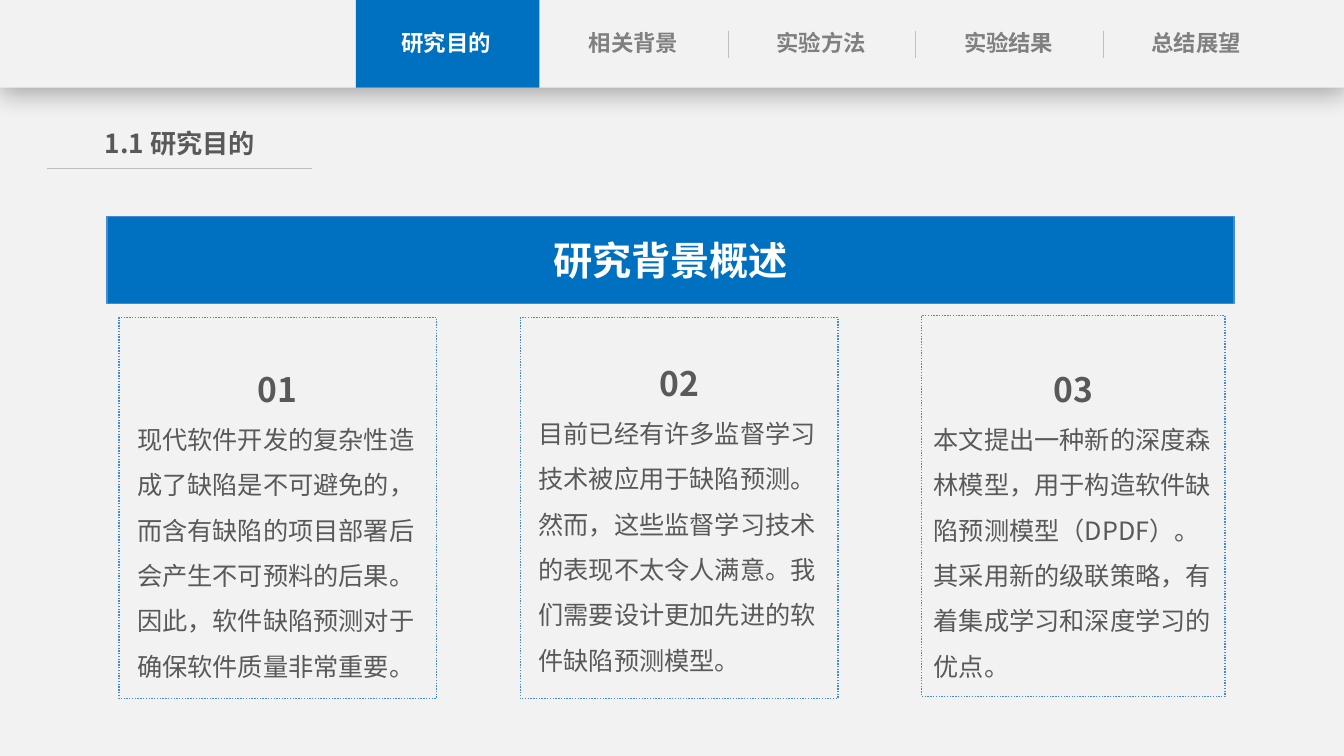
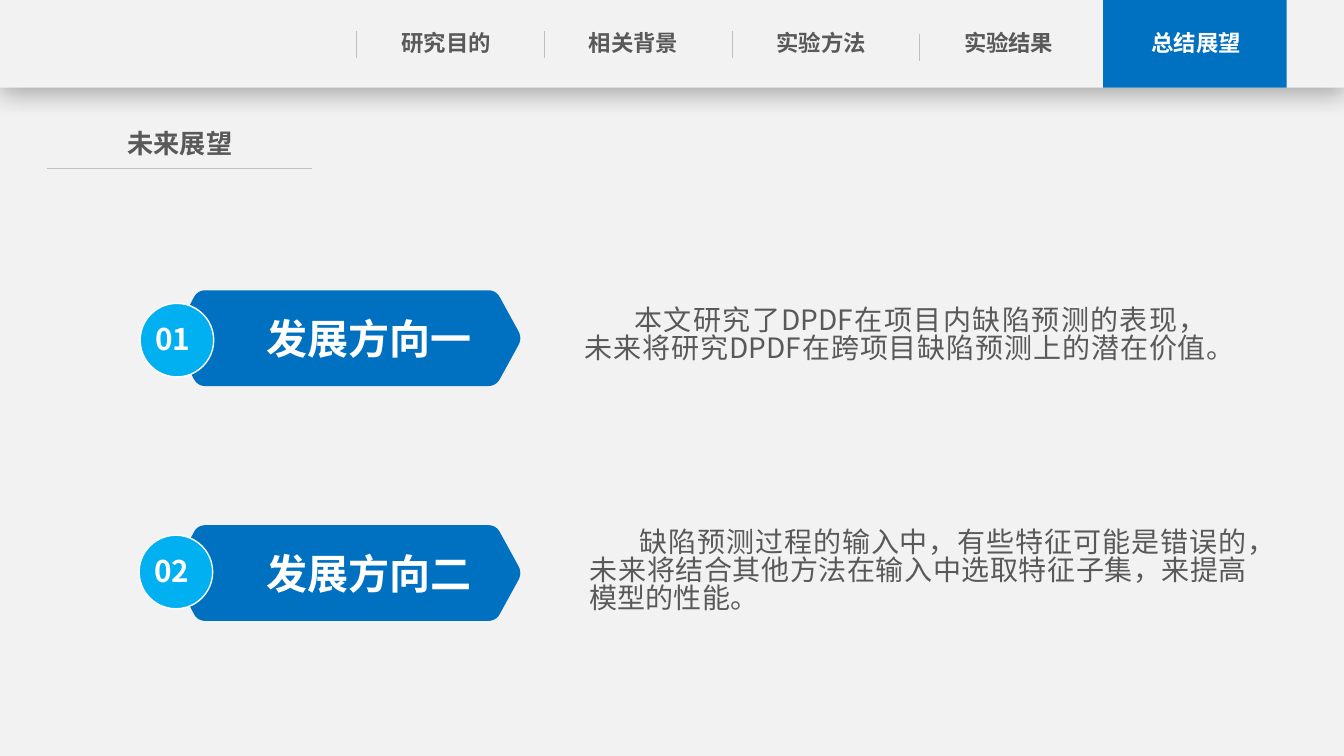
from dataclasses import dataclass

from lxml.etree import SubElement
from pptx import Presentation
from pptx.dml.color import RGBColor
from pptx.enum.dml import MSO_LINE
from pptx.enum.shapes import MSO_CONNECTOR, MSO_SHAPE
from pptx.enum.text import MSO_ANCHOR, PP_ALIGN
from pptx.oxml.ns import qn
from pptx.util import Inches, Pt


@dataclass(frozen=True)
class Theme:
    font: str = "Noto Sans CJK SC"
    background: str = "F2F2F2"
    primary: str = "0070C0"
    badge: str = "00B0F0"
    outline: str = "448AD7"
    rule: str = "BFBFBF"
    text: str = "595959"
    muted: str = "808080"
    white: str = "FFFFFF"
    tab_size: float = 16
    title_size: float = 18.7
    banner_size: float = 28
    number_size: float = 24
    body_size: float = 18
    direction_size: float = 29.3
    badge_size: float = 21.3
    outlook_size: float = 20


T = Theme()
SLIDE_W, SLIDE_H = 13.33, 7.5
NAV_H = 0.87
TABS = ("研究目的", "相关背景", "实验方法", "实验结果", "总结展望")


# --- Basic elements ---
def rgb(value):
    return RGBColor.from_string(value)


def style_paragraph(p, size, color, bold=False, align=PP_ALIGN.LEFT, spacing=None):
    p.alignment = align
    if spacing:
        p.line_spacing = spacing
    for r in p.runs:
        r.font.name, r.font.size, r.font.bold = T.font, Pt(size), bold
        r.font.color.rgb = rgb(color)
        SubElement(r.font._element, qn("a:ea"), typeface=T.font)


def set_insets(tf, left=0, top=0, right=0, bottom=0):
    tf.margin_left, tf.margin_top = Inches(left), Inches(top)
    tf.margin_right, tf.margin_bottom = Inches(right), Inches(bottom)


def style_shape(sp, fill=None, line=None):
    sp.shadow.inherit = False
    if fill:
        sp.fill.solid()
        sp.fill.fore_color.rgb = rgb(fill)
    else:
        sp.fill.background()
    if line:
        sp.line.color.rgb = rgb(line)
        sp.line.width = Pt(1)
    else:
        sp.line.fill.background()


def add_box(s, x, y, w, h, fill=None, line=None, kind=MSO_SHAPE.RECTANGLE):
    sp = s.shapes.add_shape(kind, Inches(x), Inches(y), Inches(w), Inches(h))
    style_shape(sp, fill, line)
    return sp


def add_label(s, x, y, w, h, text, size, color):
    tf = s.shapes.add_textbox(Inches(x), Inches(y), Inches(w), Inches(h)).text_frame
    tf.word_wrap = True
    set_insets(tf, top=0.05, bottom=0.05)
    tf.text = text
    style_paragraph(tf.paragraphs[0], size, color, True, PP_ALIGN.CENTER)


def fill_label(sp, text, size, left=0, right=0, bottom=0, wrap=True):
    tf = sp.text_frame
    tf.word_wrap = wrap
    tf.vertical_anchor = MSO_ANCHOR.MIDDLE
    set_insets(tf, left=left, right=right, bottom=bottom)
    tf.text = text
    style_paragraph(tf.paragraphs[0], size, T.white, True, PP_ALIGN.CENTER)


def add_rule(s, x1, y1, x2, y2):
    line = s.shapes.add_connector(
        MSO_CONNECTOR.STRAIGHT, Inches(x1), Inches(y1), Inches(x2), Inches(y2))
    line.line.color.rgb = rgb(T.rule)
    line.line.width = Pt(0.5)
    SubElement(line._element.spPr, qn("a:effectLst"))


def add_drop_shadow(sp):
    effects = sp._element.spPr.find(qn("a:effectLst"))
    shadow = SubElement(effects, qn("a:outerShdw"), blurRad=str(Pt(18)),
                        dist=str(Pt(4)), dir="5400000", algn="t", rotWithShape="0")
    color = SubElement(shadow, qn("a:srgbClr"), val="000000")
    SubElement(color, qn("a:alpha"), val="29000")


# --- Shared slide frame ---
def add_nav(s, active, active_x, tab_color, separators):
    add_drop_shadow(add_box(s, 0, 0, SLIDE_W, NAV_H, T.background))
    add_box(s, active_x, 0, 1.82, NAV_H, T.primary)
    for i, tab in enumerate(TABS):
        color = T.white if i == active else tab_color
        add_label(s, 3.69 + 1.86 * i, 0.24, 1.47, 0.38, tab, T.tab_size, color)
    for x, y in separators:
        add_rule(s, x, y, x, y + 0.27)


def add_section_title(s, text):
    add_label(s, 0.75, 1.21, 2.07, 0.42, text, T.title_size, T.text)
    add_rule(s, 0.47, 1.67, 3.09, 1.67)


# --- Content elements ---
def add_card(s, x, y, w, inset, top, number, text):
    sp = add_box(s, x, y, w, 3.78, line=T.outline)
    sp.line.dash_style = MSO_LINE.ROUND_DOT
    tf = sp.text_frame
    tf.word_wrap = True
    tf.vertical_anchor = MSO_ANCHOR.TOP
    set_insets(tf, left=inset, top=top, right=inset)
    tf.text = number
    style_paragraph(tf.paragraphs[0], T.number_size, T.text, True, PP_ALIGN.CENTER, 1.5)
    p = tf.add_paragraph()
    p.text = text
    style_paragraph(p, T.body_size, T.text, spacing=1.5)


def round_corners(corners, cut=0.08, steps=6):
    """Replace each corner of a polygon by a sampled quadratic curve."""
    points = []
    for i, (cx, cy) in enumerate(corners):
        ends = []
        for nx, ny in (corners[i - 1], corners[(i + 1) % len(corners)]):
            t = cut / ((nx - cx) ** 2 + (ny - cy) ** 2) ** 0.5
            ends.append((cx + (nx - cx) * t, cy + (ny - cy) * t))
        (ax, ay), (bx, by) = ends
        for k in range(steps + 1):
            t = k / steps
            a, c, b = (1 - t) ** 2, 2 * t * (1 - t), t ** 2
            points.append((a * ax + c * cx + b * bx, a * ay + c * cy + b * by))
    return points


def add_direction_tag(s, x, y, text):
    corners = [(0.23, 0), (3.19, 0), (3.45, 0.475),
               (3.19, 0.95), (0.23, 0.95), (-0.02, 0.475)]
    points = [(Inches(x + dx), Inches(y + dy)) for dx, dy in round_corners(corners)]
    builder = s.shapes.build_freeform(*points[0], scale=1.0)
    builder.add_line_segments(points[1:], close=True)
    sp = builder.convert_to_shape()
    style_shape(sp, T.primary)
    fill_label(sp, text, T.direction_size, left=0.44)


def add_badge(s, x, y, number):
    sp = add_box(s, x, y, 0.73, 0.73, T.badge, T.white, MSO_SHAPE.OVAL)
    fill_label(sp, number, T.badge_size, right=0.08, bottom=0.03, wrap=False)


def add_outlook(s, x, y, w, h, text):
    tf = s.shapes.add_textbox(Inches(x), Inches(y), Inches(w), Inches(h)).text_frame
    tf.word_wrap = True
    set_insets(tf)
    tf.text = text
    p = tf.paragraphs[0]
    style_paragraph(p, T.outlook_size, T.text, align=PP_ALIGN.JUSTIFY, spacing=Pt(20))
    p._p.get_or_add_pPr().set("indent", str(Inches(0.49)))


# --- Slides ---
def build_purpose(s):
    add_nav(s, 0, 3.53, T.muted, [(7.22, 0.31), (9.08, 0.31), (10.94, 0.31)])
    add_section_title(s, "1.1 研究目的")
    banner = add_box(s, 1.06, 2.15, 11.18, 0.86, T.primary, T.outline)
    fill_label(banner, "研究背景概述", T.banner_size)
    cards = [
        (1.18, 3.15, 3.15, 0.18, 0.31, "01",
         "现代软件开发的复杂性造成了缺陷是不可避免的，而含有缺陷的项目部署后会产生"
         "不可预料的后果。因此，软件缺陷预测对于确保软件质量非常重要。"),
        (5.16, 3.15, 3.15, 0.18, 0.25, "02",
         "目前已经有许多监督学习技术被应用于缺陷预测。然而，这些监督学习技术的表现"
         "不太令人满意。我们需要设计更加先进的软件缺陷预测模型。"),
        (9.14, 3.13, 3.01, 0.12, 0.33, "03",
         "本文提出一种新的深度森林模型，用于构造软件缺陷预测模型（DPDF）。"
         "其采用新的级联策略，有着集成学习和深度学习的优点。"),
    ]
    for card in cards:
        add_card(s, *card)


def build_outlook(s):
    add_nav(s, 4, 10.94, T.text,
            [(3.53, 0.31), (5.4, 0.31), (7.26, 0.31), (9.12, 0.34)])
    add_section_title(s, "未来展望")
    directions = [
        (2.88, "发展方向一", (1.39, 3.01, "01"),
         (5.8, 3.06, 6.17, 0.56,
          "本文研究了DPDF在项目内缺陷预测的表现，未来将研究DPDF在跨项目缺陷预测上的"
          "潜在价值。")),
        (5.21, "发展方向二", (1.38, 5.31, "02"),
         (5.85, 5.26, 6.52, 0.84,
          "缺陷预测过程的输入中，有些特征可能是错误的，未来将结合其他方法在输入中选取"
          "特征子集，来提高模型的性能。")),
    ]
    for y, name, badge, outlook in directions:
        add_direction_tag(s, 1.73, y, name)
        add_badge(s, *badge)
        add_outlook(s, *outlook)


def main():
    prs = Presentation()
    prs.slide_width, prs.slide_height = Inches(SLIDE_W), Inches(SLIDE_H)
    fill = prs.slide_master.background.fill
    fill.solid()
    fill.fore_color.rgb = rgb(T.background)
    for build in (build_purpose, build_outlook):
        build(prs.slides.add_slide(prs.slide_layouts[6]))
    prs.save("out.pptx")


if __name__ == "__main__":
    main()
